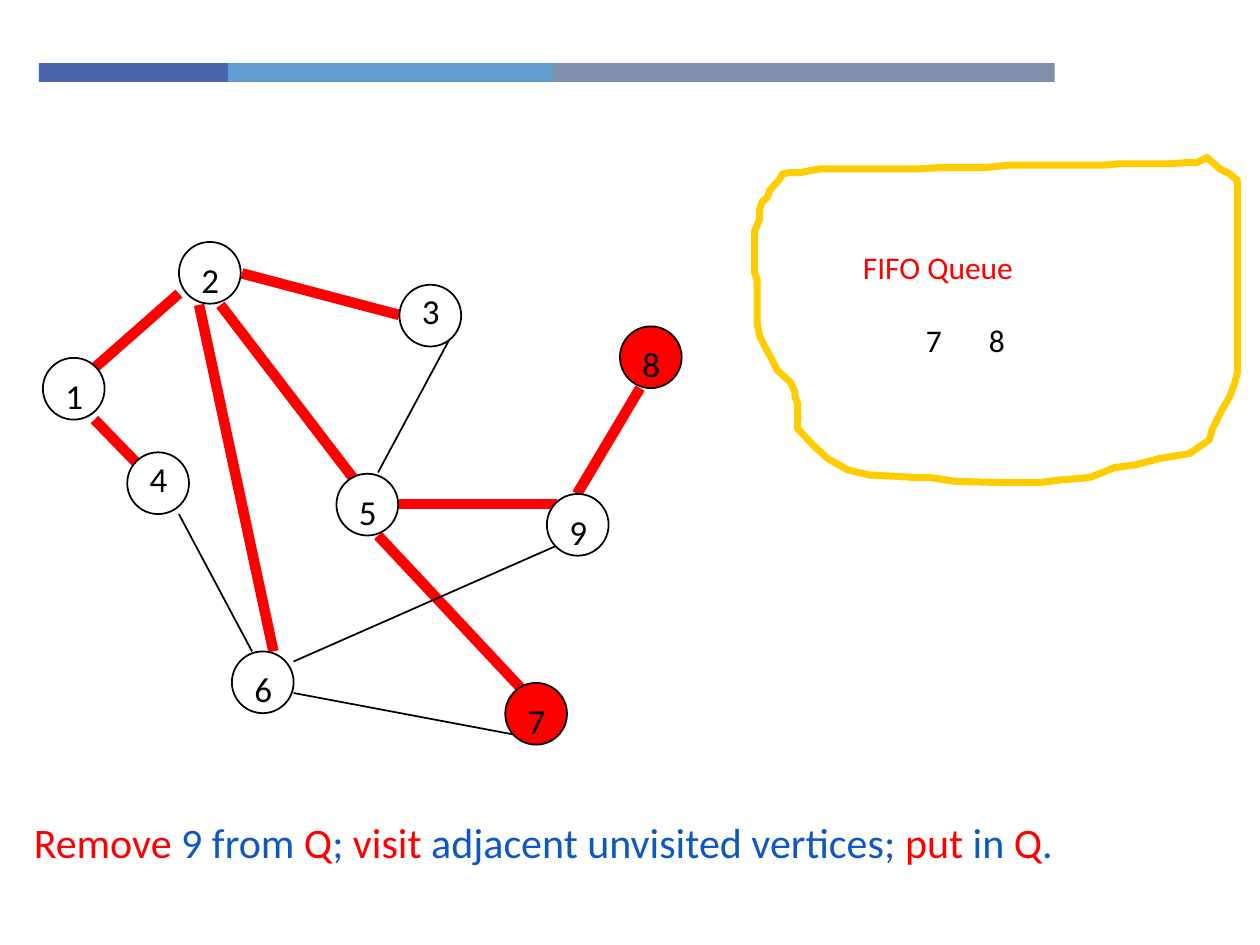
from pptx import Presentation
from pptx.dml.color import RGBColor
from pptx.enum.shapes import MSO_CONNECTOR, MSO_SHAPE
from pptx.oxml.ns import qn
from pptx.util import Inches, Pt
from lxml import etree

RECT, OVAL, LINE = MSO_SHAPE.RECTANGLE, MSO_SHAPE.OVAL, MSO_CONNECTOR.STRAIGHT
C = {"red": "FF0000", "black": "000000", "white": "FFFFFF", "blue": "0E58C4",
     "gold": "FFCC00", "bar1": "4A66AC", "bar2": "629DD1", "bar3": "7F8FA9"}

prs = Presentation()
prs.slide_width, prs.slide_height = Inches(10), Inches(7.5)
s = prs.slides.add_slide(prs.slide_layouts[6])


def rgb(name):
    return RGBColor.from_string(C[name])


def add_text(runs, x, y, w, h, size=18, wrap=True, hanging=0):
    """Add a text box from (text, colour) runs."""
    tf = s.shapes.add_textbox(Inches(x), Inches(y), Inches(w), Inches(h)).text_frame
    tf.word_wrap = wrap
    p = tf.paragraphs[0]
    if hanging:
        pPr = p._p.get_or_add_pPr()
        pPr.set("marL", str(Inches(hanging)))
        pPr.set("indent", str(-Inches(hanging)))
    for text, color in runs:
        r = p.add_run()
        r.text = text
        r.font.name, r.font.size = "Calibri", Pt(size)
        r.font.color.rgb = rgb(color)


# Header bar
x = 0.31
for w, color in [(1.5, "bar1"), (2.58, "bar2"), (3.98, "bar3")]:
    sp = s.shapes.add_shape(RECT, Inches(x), Inches(0.5), Inches(w), Inches(0.15))
    sp.shadow.inherit = False
    sp.fill.solid()
    sp.fill.fore_color.rgb = rgb(color)
    sp.line.fill.background()
    x += w

# Hand-drawn loop around the queue
loop = [
    (9.58, 1.25), (9.5, 1.29), (9.44, 1.29), (9.28, 1.3), (8.89, 1.3),
    (8.77, 1.31), (8.02, 1.31), (7.82, 1.33), (7.46, 1.33), (7.3, 1.34),
    (6.51, 1.34), (6.35, 1.37), (6.27, 1.37), (6.21, 1.38), (6.19, 1.42),
    (6.11, 1.51), (6.09, 1.57), (6.05, 1.6), (6.03, 1.66), (6.03, 1.74),
    (5.99, 1.83), (5.99, 2.17), (6.01, 2.22), (6.01, 2.57), (6.03, 2.67),
    (6.07, 2.75), (6.13, 2.86), (6.17, 2.94), (6.27, 3.03), (6.31, 3.11),
    (6.31, 3.15), (6.33, 3.2), (6.33, 3.4), (6.45, 3.53), (6.57, 3.64),
    (6.73, 3.73), (6.9, 3.77), (7.1, 3.78), (7.26, 3.79), (7.38, 3.79),
    (7.58, 3.82), (7.94, 3.83), (8.25, 3.83), (8.41, 3.81), (8.65, 3.79),
    (8.85, 3.71), (9.01, 3.69), (9.2, 3.64), (9.32, 3.62), (9.44, 3.6),
    (9.6, 3.49), (9.62, 3.41), (9.7, 3.25), (9.76, 3.15), (9.8, 3.04),
    (9.82, 2.96), (9.82, 1.43), (9.76, 1.38), (9.68, 1.34),
]
points = [(Inches(px), Inches(py)) for px, py in loop]
fb = s.shapes.build_freeform(*points[0])
fb.add_line_segments(points[1:], close=True)
sp = fb.convert_to_shape()
sp.shadow.inherit = False
sp.fill.background()
sp.line.color.rgb = rgb("gold")
sp.line.width = Pt(4)

# Queue title and contents
add_text([("FIFO Queue", "red")], 6.75, 1.92, 3.08, 0.86)
for i, vertex in enumerate("78"):
    add_text([(vertex, "black")], 7.25 + 0.5 * i, 2.5, 0.42, 0.63)

# Edges: visited ones are thick and red
tree_edges = [
    (1.42, 2.33, 0.75, 2.92), (1.75, 2.42, 2.83, 3.83),
    (0.75, 3.33, 1.08, 3.67), (3, 4.25, 4.17, 5.5),
    (5.08, 3.08, 4.58, 3.92), (3.17, 4, 4.42, 4),
    (1.92, 2.17, 3.17, 2.5), (1.58, 2.42, 2.17, 5.17),
]
other_edges = [
    (1.42, 4.08, 2, 5.17), (2.33, 5.5, 4.08, 5.83),
    (3.58, 2.67, 3, 3.75), (2.33, 5.25, 4.42, 4.33),
]
for edges, color, width in [(tree_edges, "red", 6), (other_edges, "black", 1)]:
    for edge in edges:
        cx = s.shapes.add_connector(LINE, *[Inches(v) for v in edge])
        cx.line.color.rgb = rgb(color)
        cx.line.width = Pt(width)
        etree.SubElement(cx._element.spPr, qn("a:effectLst"))

# Vertices: label, left, top, label offset, fill
vertices = [
    ("1", 0.34, 2.84, 0.08, "white"), ("2", 1.42, 1.92, 0.08, "white"),
    ("4", 1.01, 3.59, -0.01, "white"), ("5", 2.67, 3.76, 0.08, "white"),
    ("3", 3.17, 2.26, -0.01, "white"), ("6", 1.84, 5.17, 0.08, "white"),
    ("9", 4.34, 3.92, 0.08, "white"), ("7", 4.01, 5.42, 0.08, "red"),
    ("8", 4.92, 2.59, 0.08, "red"),
]
for label, x, y, dy, fill in vertices:
    sp = s.shapes.add_shape(OVAL, Inches(x), Inches(y), Inches(0.49), Inches(0.49))
    sp.shadow.inherit = False
    sp.fill.solid()
    sp.fill.fore_color.rgb = rgb(fill)
    sp.line.color.rgb = rgb("black")
    sp.line.width = Pt(1)
    add_text([(label, "black")], x + 0.08, y + dy, 0.34, 0.43, size=20, wrap=False)

# Step description
add_text([("Remove", "red"), (" 9 from ", "blue"), ("Q", "red"), ("; ", "blue"),
          ("visit", "red"), (" adjacent unvisited vertices; ", "blue"),
          ("put", "red"), (" in ", "blue"), ("Q", "red"), (".", "blue")],
         0.17, 6.43, 9.83, 0.78, size=24, hanging=0.5)

prs.save("out.pptx")
